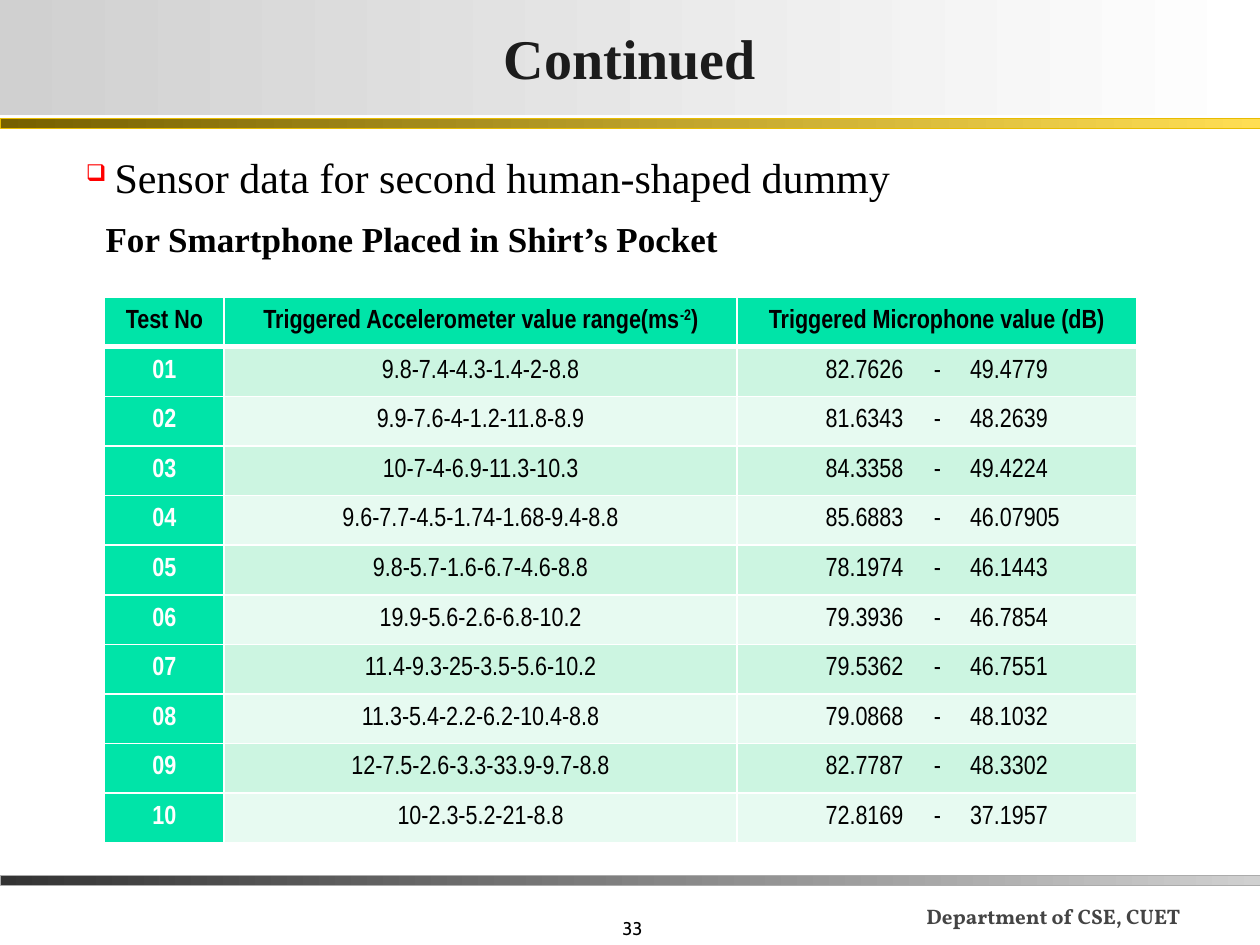
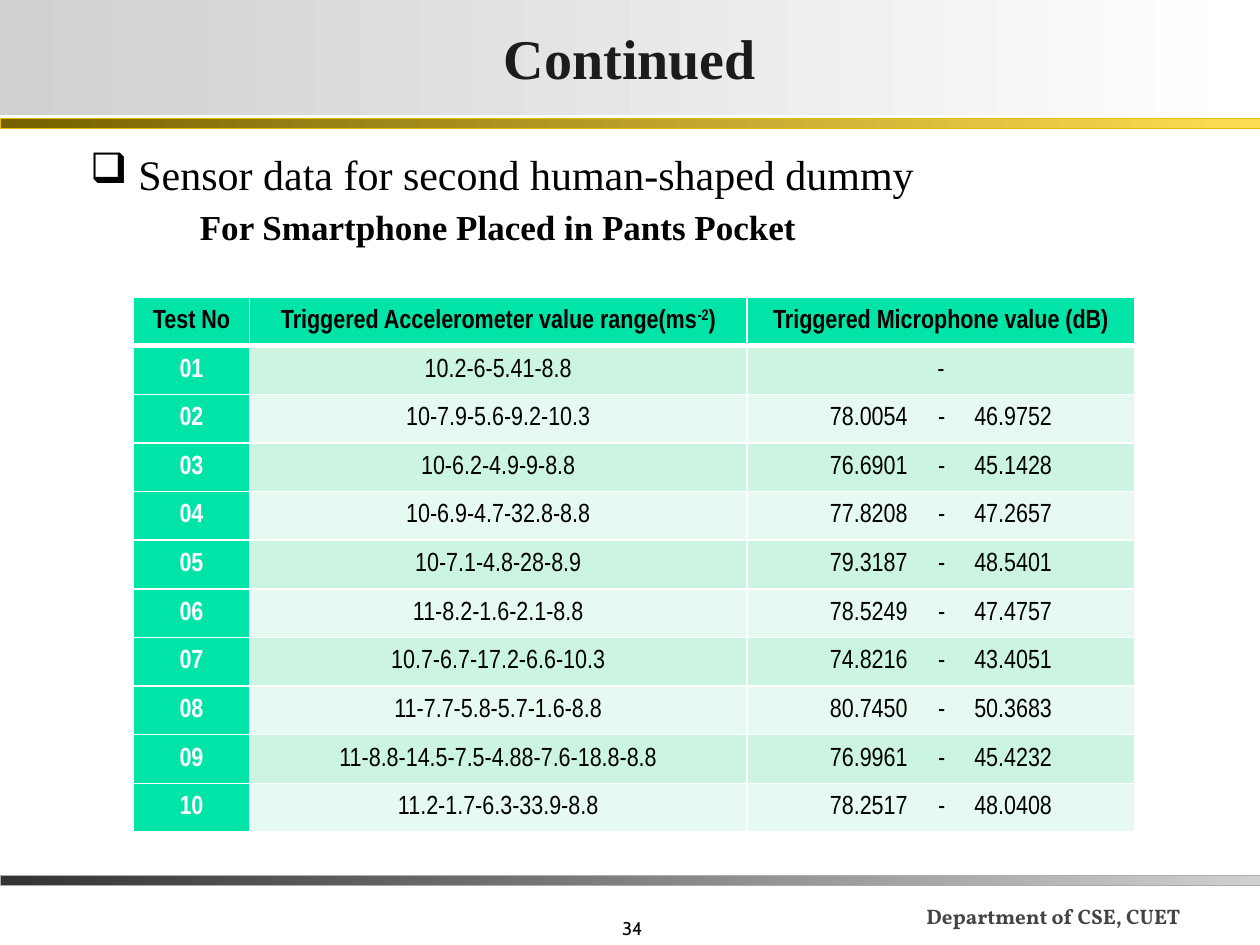
import pptx
import pptx.util
import pptx.dml.color
import pptx.enum.shapes
import pptx.enum.text
import pptx.oxml
import pptx.oxml.ns
import lxml.etree

Cm = pptx.util.Cm
Pt = pptx.util.Pt
ALIGN = pptx.enum.text.PP_ALIGN
ANCHOR = pptx.enum.text.MSO_ANCHOR
qn = pptx.oxml.ns.qn

COLORS = {
    "black": "000000", "white": "FFFFFF", "title": "1C1C1C", "footer": "444444",
    "silver": "D0D0D0", "charcoal": "333333", "gray line": "ABABAB",
    "dark gold": "766000", "gold": "FFDE53", "gold line": "E8BC00",
    "header": "00E4A8", "odd row": "CCF5E1", "even row": "E7FAF1", "bullet": "FF0000",
}
RGB = {name: pptx.dml.color.RGBColor.from_string(value) for name, value in COLORS.items()}
SERIF = "Times New Roman"
CELL_INSET = 0.18
MICROPHONE_TABS = (-2.24, -0.06, 0.67)
BARS = [(2.39, "dark gold", "gold", "gold line"), (17.65, "charcoal", "silver", "gray line")]

SLIDES = [
    {
        "number": "33",
        "box": (0.51, 2.92, 24, 2.34),
        "bullet": (1.55, -0.58, "bullet", 55),
        "subheading": ("For Smartphone Placed in Shirt’s Pocket", 1.37, 9),
        "left": 2.11, "columns": (2.41, 10.34, 8.05), "row": 1.0,
        "tests": [
            ("9.8-7.4-4.3-1.4-2-8.8", "82.7626", "49.4779"),
            ("9.9-7.6-4-1.2-11.8-8.9", "81.6343", "48.2639"),
            ("10-7-4-6.9-11.3-10.3", "84.3358", "49.4224"),
            ("9.6-7.7-4.5-1.74-1.68-9.4-8.8", "85.6883", "46.07905"),
            ("9.8-5.7-1.6-6.7-4.6-8.8", "78.1974", "46.1443"),
            ("19.9-5.6-2.6-6.8-10.2", "79.3936", "46.7854"),
            ("11.4-9.3-25-3.5-5.6-10.2", "79.5362", "46.7551"),
            ("11.3-5.4-2.2-6.2-10.4-8.8", "79.0868", "48.1032"),
            ("12-7.5-2.6-3.3-33.9-9.7-8.8", "82.7787", "48.3302"),
            ("10-2.3-5.2-21-8.8", "72.8169", "37.1957"),
        ],
    },
    {
        "number": "34",
        "box": (0.3, 2.87, 21.59, 2.31),
        "bullet": (2.24, -0.97, "black", 100),
        "subheading": ("For Smartphone Placed in Pants Pocket", 3.48, 4),
        "left": 2.69, "columns": (2.34, 10.03, 7.82), "row": 0.98,
        "tests": [
            ("10.2-6-5.41-8.8", "", ""),
            ("10-7.9-5.6-9.2-10.3", "78.0054", "46.9752"),
            ("10-6.2-4.9-9-8.8", "76.6901", "45.1428"),
            ("10-6.9-4.7-32.8-8.8", "77.8208", "47.2657"),
            ("10-7.1-4.8-28-8.9", "79.3187", "48.5401"),
            ("11-8.2-1.6-2.1-8.8", "78.5249", "47.4757"),
            ("10.7-6.7-17.2-6.6-10.3", "74.8216", "43.4051"),
            ("11-7.7-5.8-5.7-1.6-8.8", "80.7450", "50.3683"),
            ("11-8.8-14.5-7.5-4.88-7.6-18.8-8.8", "76.9961", "45.4232"),
            ("11.2-1.7-6.3-33.9-8.8", "78.2517", "48.0408"),
        ],
    },
]


def style_paragraph(paragraph, size, font_name, color, bold=False, alignment=None):
    paragraph.alignment = alignment
    paragraph.font.size = Pt(size)
    paragraph.font.name = font_name
    paragraph.font.bold = bold
    paragraph.font.color.rgb = RGB[color]


def fill_gradient(shape, start, end):
    shape.fill.gradient()
    shape.fill.gradient_angle = 0
    for stop, color in zip(shape.fill.gradient_stops, (start, end)):
        stop.color.rgb = RGB[color]


presentation = pptx.Presentation()
presentation.slide_width = Cm(25.4)
presentation.slide_height = Cm(19.05)

for content in SLIDES:
    slide = presentation.slides.add_slide(presentation.slide_layouts[5])

    title = slide.shapes.title
    title.left, title.top, title.width, title.height = Cm(0), Cm(0), Cm(25.4), Cm(2.31)
    fill_gradient(title, "silver", "white")
    frame = title.text_frame
    frame.text = "Continued"
    frame.auto_size = pptx.enum.text.MSO_AUTO_SIZE.NONE
    frame.vertical_anchor = ANCHOR.MIDDLE
    frame.margin_left = frame.margin_right = Cm(0.05)
    frame.margin_top = frame.margin_bottom = Cm(0.03)
    style_paragraph(frame.paragraphs[0], 32, SERIF, "title", True, ALIGN.CENTER)

    for top, start, end, outline in BARS:
        bar = slide.shapes.add_shape(
            pptx.enum.shapes.MSO_SHAPE.RECTANGLE, Cm(0), Cm(top), Cm(25.4), Cm(0.2))
        bar.shadow.inherit = False
        fill_gradient(bar, start, end)
        bar.line.color.rgb = RGB[outline]
        bar.line.width = Pt(0.25)

    footers = [
        (content["number"], (7.92, 17.78, 5.28, 1.27), (10.5, "Cabin", "black", False, ALIGN.RIGHT)),
        ("Department of CSE, CUET", (16.87, 17.27, 8.74, 1.57),
         (12, "Vollkorn", "footer", True, ALIGN.CENTER)),
    ]
    for text, box, style in footers:
        footer = slide.shapes.add_textbox(*map(Cm, box))
        footer.text_frame.word_wrap = True
        footer.text_frame.vertical_anchor = ANCHOR.BOTTOM
        footer.text_frame.text = text
        style_paragraph(footer.text_frame.paragraphs[0], *style)

    headings = slide.shapes.add_textbox(*map(Cm, content["box"])).text_frame
    headings.word_wrap = True
    heading = headings.paragraphs[0]
    heading.text = "Sensor data for second human-shaped dummy"
    style_paragraph(heading, 24, SERIF, "black")
    margin, indent, bullet_color, bullet_size = content["bullet"]
    properties = heading._p.get_or_add_pPr()
    properties.set("marL", str(Cm(margin)))
    properties.set("indent", str(Cm(indent)))
    bullet = pptx.oxml.parse_xml(
        f'<a:pPr {pptx.oxml.ns.nsdecls("a")}>'
        f'<a:buClr><a:srgbClr val="{COLORS[bullet_color]}"/></a:buClr>'
        f'<a:buSzPct val="{bullet_size * 1000}"/><a:buChar char="❑"/></a:pPr>')
    for position, element in enumerate(list(bullet)):
        properties.insert(position, element)

    text, margin, space = content["subheading"]
    subheading = headings.add_paragraph()
    subheading.text = text
    subheading.space_before = Pt(space)
    style_paragraph(subheading, 20, SERIF, "black", True)
    subheading._p.get_or_add_pPr().set("marL", str(Cm(margin)))

    columns = content["columns"]
    rows = [("Test No", "Triggered Accelerometer value range(ms", "Triggered Microphone value (dB)")]
    for number, (accelerometer, high, low) in enumerate(content["tests"], 1):
        microphone = f"\t{high}\t-\t{low}" if high else "-"
        rows.append((f"{number:02}", accelerometer, microphone))
    table = slide.shapes.add_table(
        len(rows), len(columns), Cm(content["left"]), Cm(5.99),
        Cm(sum(columns)), Cm(content["row"] * len(rows))).table
    for column, width in zip(table.columns, columns):
        column.width = Cm(width)

    for row_index, texts in enumerate(rows):
        table.rows[row_index].height = Cm(content["row"])
        for column_index, text in enumerate(texts):
            is_header, is_label = row_index == 0, column_index == 0
            cell = table.cell(row_index, column_index)
            cell.margin_left = cell.margin_right = Cm(CELL_INSET)
            cell.margin_top = cell.margin_bottom = 0
            band = "odd row" if row_index % 2 else "even row"
            cell.fill.solid()
            cell.fill.fore_color.rgb = RGB["header" if is_header or is_label else band]

            paragraph = cell.text_frame.paragraphs[0]
            paragraph.text = text
            paragraph.line_spacing = 1.5
            color = "white" if is_label and not is_header else "black"
            has_tabs = "\t" in text
            style_paragraph(paragraph, 15, "Arial Narrow", color, is_header or is_label,
                            ALIGN.LEFT if has_tabs else ALIGN.CENTER)
            if is_header and column_index == 1:
                exponent = paragraph.add_run()
                exponent.text = "-2"
                exponent._r.get_or_add_rPr().set("baseline", "30000")
                paragraph.add_run().text = ")"
            if has_tabs:
                tab_list = lxml.etree.Element(qn("a:tabLst"))
                for offset in MICROPHONE_TABS:
                    position = Cm(columns[2] / 2 + offset - CELL_INSET)
                    lxml.etree.SubElement(tab_list, qn("a:tab"), pos=str(position), algn="l")
                paragraph._p.pPr.find(qn("a:defRPr")).addprevious(tab_list)

            cell_properties = cell._tc.get_or_add_tcPr()
            for position, side in enumerate("LRTB"):
                thick = (row_index, side) in ((0, "B"), (1, "T"))
                border = lxml.etree.Element(qn(f"a:ln{side}"), w=str(Pt(3 if thick else 1)))
                border_fill = lxml.etree.SubElement(border, qn("a:solidFill"))
                lxml.etree.SubElement(border_fill, qn("a:srgbClr"), val=COLORS["white"])
                cell_properties.insert(position, border)

presentation.save("out.pptx")
